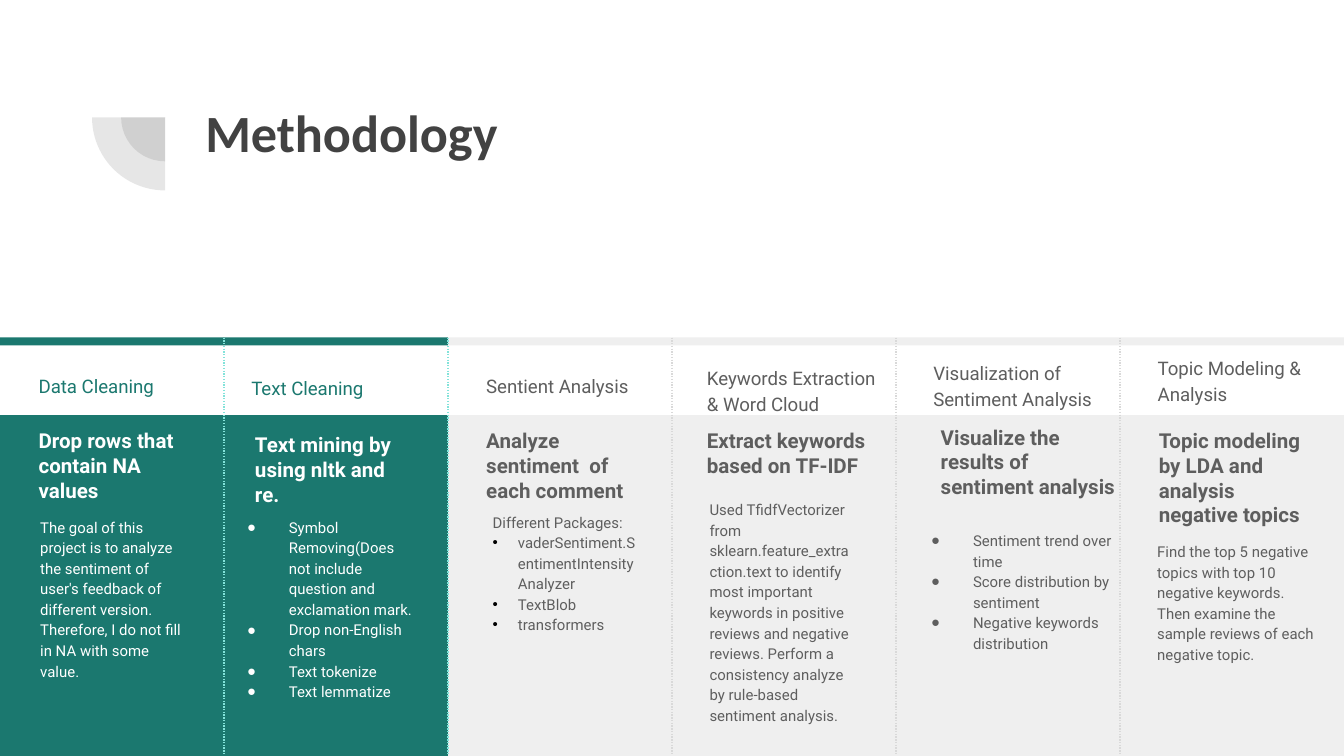
from lxml import etree
from pptx import Presentation
from pptx.dml.color import RGBColor
from pptx.enum.dml import MSO_LINE
from pptx.enum.shapes import MSO_CONNECTOR, MSO_SHAPE
from pptx.enum.text import MSO_ANCHOR, MSO_AUTO_SIZE, PP_ALIGN
from pptx.oxml.ns import qn
from pptx.util import Cm, Pt

RECT, PIE = MSO_SHAPE.RECTANGLE, MSO_SHAPE.PIE
LINE, DOT = MSO_CONNECTOR.STRAIGHT, MSO_LINE.ROUND_DOT
TOP, LEFT, NOFIT = MSO_ANCHOR.TOP, PP_ALIGN.LEFT, MSO_AUTO_SIZE.NONE

COLORS = {
    "ink": "424242", "gray": "5E5E5E", "pale": "EFEFEF", "rule": "D9D9D9",
    "teal": "1B786F", "mint": "83E3DA", "white": "FFFFFF", "black": "000000",
}
THEMES = {
    "done": {"fill": "teal", "head": "teal", "text": "white", "rule": "mint"},
    "next": {"fill": "pale", "head": "gray", "text": "gray", "rule": "rule"},
}
WIDTH, HEIGHT = 25.4, 14.29
BAR, PANEL = 6.38, 7.85
WIDE = {"char": "●", "left": 1.27, "hang": 0.79}
SLIM = {"char": "•", "left": 0.48, "hang": 0.48, "color": "black"}

STEPS = [
    {"theme": "done",
     "head": (0.48, 6.78, 3.26, "Data Cleaning"),
     "claim": (0.48, 7.85, 3.26, "Drop rows that contain NA values"),
     "body": (0.51, 9.5, 3.26),
     "lead": ["The goal of this project is to analyze the sentiment of user's "
              "feedback of different version. Therefore, I do not fill in NA "
              "with some value."]},
    {"theme": "done",
     "head": (4.5, 6.81, 3.66, "Text Cleaning"),
     "claim": (4.57, 7.92, 3.26, "Text mining by using nltk and re."),
     "body": (3.94, 9.5, 4.22), "mark": WIDE,
     "items": ["Symbol Removing(Does not include question and exclamation mark.",
               "Drop non-English chars", "Text tokenize", "Text lemmatize"]},
    {"theme": "next",
     "head": (8.94, 6.78, 3.66, "Sentient Analysis"),
     "claim": (8.94, 7.85, 3.66, "Analyze sentiment  of each comment"),
     "body": (9.06, 9.4, 3.26), "mark": SLIM,
     "lead": ["Different Packages:"],
     "items": ["vaderSentiment.SentimentIntensityAnalyzer", "TextBlob",
               "transformers"]},
    {"theme": "next",
     "head": (13.11, 6.63, 3.73, "Keywords Extraction & Word Cloud"),
     "claim": (13.11, 7.85, 3.66, "Extract keywords based on TF-IDF"),
     "body": (13.16, 9.17, 3.26),
     "lead": ["Used TfidfVectorizer from sklearn.feature_extraction.text to "
              "identify most important keywords in positive reviews and "
              "negative reviews. Perform a consistency analyze by rule-based "
              "sentiment analysis."]},
    {"theme": "next",
     "head": (17.39, 6.53, 3.51, "Visualization of Sentiment Analysis"),
     "claim": (17.53, 7.78, 3.84, "Visualize the results of sentiment analysis"),
     "body": (16.87, 9.75, 4.5), "mark": WIDE,
     "items": ["Sentiment trend over time", "Score distribution by sentiment",
               "Negative keywords distribution"]},
    {"theme": "next",
     "head": (21.63, 6.43, 3.26, "Topic Modeling & Analysis"),
     "claim": (21.65, 7.85, 3.48,
               "Topic modeling by LDA and analysis negative topics"),
     "body": (21.62, 9.96, 3.51),
     "lead": ["Find the top 5 negative topics with top 10 negative keywords. "
              "Then examine the sample reviews of each negative topic."]},
]


def rgb(name):
    """Return the named colour."""
    return RGBColor.from_string(COLORS[name])


def add_shape(slide, kind, box, color):
    """Add a plain filled shape without a line."""
    shape = slide.shapes.add_shape(kind, *map(Cm, box))
    shape.shadow.inherit = False
    shape.fill.solid()
    shape.fill.fore_color.rgb = rgb(color)
    shape.line.fill.background()
    return shape


def add_pie(slide, right, top, size):
    """Add a faint lower-left quarter disc whose centre is at right, top."""
    box = (right - size, top - size, 2 * size, 2 * size)
    pie = add_shape(slide, PIE, box, "ink")
    pie.adjustments[0], pie.adjustments[1] = 54, 108
    tint = next(pie.fill._xPr.iter(qn("a:srgbClr")))
    etree.SubElement(tint, qn("a:alpha"), val="13000")


def add_rule(slide, x, color):
    """Add a dotted vertical line between two columns."""
    rule = slide.shapes.add_connector(LINE, Cm(x), Cm(BAR), Cm(x), Cm(14.26))
    rule.line.color.rgb = rgb(color)
    rule.line.width = Pt(0.75)
    rule.line.dash_style = DOT
    etree.SubElement(rule._element.spPr, qn("a:effectLst"))


def set_frame(frame):
    """Give a text frame its insets, wrapping and anchor."""
    frame.word_wrap = True
    frame.auto_size = NOFIT
    frame.vertical_anchor = TOP
    frame.margin_left = frame.margin_right = Cm(0.25)
    frame.margin_top = frame.margin_bottom = Cm(0.25)


def set_font(para, name, size, color, bold=False):
    """Format every run of a paragraph."""
    for run in para.runs:
        font = run.font
        font.name, font.size, font.bold = name, Pt(size), bold
        font.color.rgb = rgb(color)


def set_mark(para, mark, color):
    """Give a paragraph a hanging bullet."""
    props = para._p.get_or_add_pPr()
    props.set("marL", str(Cm(mark["left"])))
    props.set("indent", str(-Cm(mark["hang"])))
    tint = etree.SubElement(props, qn("a:buClr"))
    shade = COLORS[mark.get("color", color)]
    etree.SubElement(tint, qn("a:srgbClr"), val=shade)
    etree.SubElement(props, qn("a:buFont"), typeface="Arial")
    etree.SubElement(props, qn("a:buChar"), char=mark["char"])


def add_text(slide, box, lines, size, color, bold=False, space=1.15):
    """Add a text box and return its paragraphs."""
    frame = slide.shapes.add_textbox(*map(Cm, box)).text_frame
    set_frame(frame)
    frame.text = "\n".join(lines)
    for para in frame.paragraphs:
        para.line_spacing = space
        set_font(para, "Roboto", size, color, bold)
    return frame.paragraphs


def add_step(slide, x, width, step):
    """Add one column with its bar, panel and texts."""
    theme = THEMES[step["theme"]]
    add_shape(slide, RECT, (x, PANEL, width, HEIGHT - PANEL), theme["fill"])
    add_shape(slide, RECT, (x, BAR, width, 0.15), theme["fill"])
    *spot, head = step["head"]
    add_text(slide, (*spot, 0.71), [head], 10, theme["head"])
    *spot, claim = step["claim"]
    add_text(slide, (*spot, 1.88), [claim], 11, theme["text"], True, 1.0)
    lead, items = step.get("lead", []), step.get("items", [])
    paras = add_text(slide, (*step["body"], 3.05), lead + items, 8, theme["text"])
    for para in paras[len(lead):]:
        set_mark(para, step["mark"], theme["text"])


def add_title(slide, text):
    """Place and format the slide title."""
    title = slide.shapes.title
    title.left, title.top = Cm(3.63), Cm(1.65)
    title.width, title.height = Cm(19.53), Cm(2.77)
    set_frame(title.text_frame)
    title.text_frame.text = text
    para = title.text_frame.paragraphs[0]
    para.alignment = LEFT
    set_font(para, "Calibri", 28, "ink", True)


def main():
    """Build and save the slide."""
    deck = Presentation()
    deck.slide_width, deck.slide_height = Cm(WIDTH), Cm(HEIGHT)
    slide = deck.slides.add_slide(deck.slide_layouts[5])
    for size in (0.83, 1.38):
        add_pie(slide, 3.12, 2.22, size)
    add_title(slide, "Methodology")
    width = WIDTH / len(STEPS)
    for i, step in enumerate(STEPS):
        add_step(slide, i * width, width, step)
    for i, step in enumerate(STEPS[:-1], 1):
        add_rule(slide, i * width, THEMES[step["theme"]]["rule"])
    deck.save("out.pptx")


if __name__ == "__main__":
    main()
